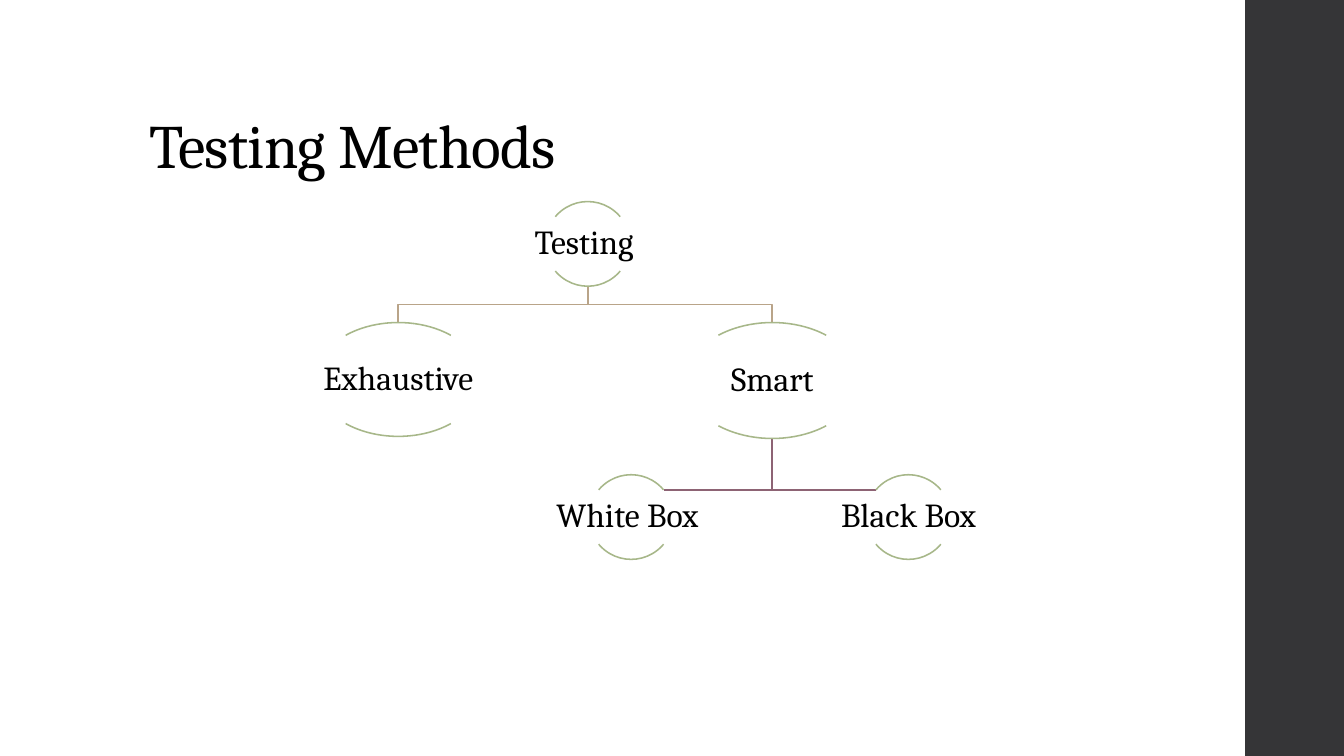
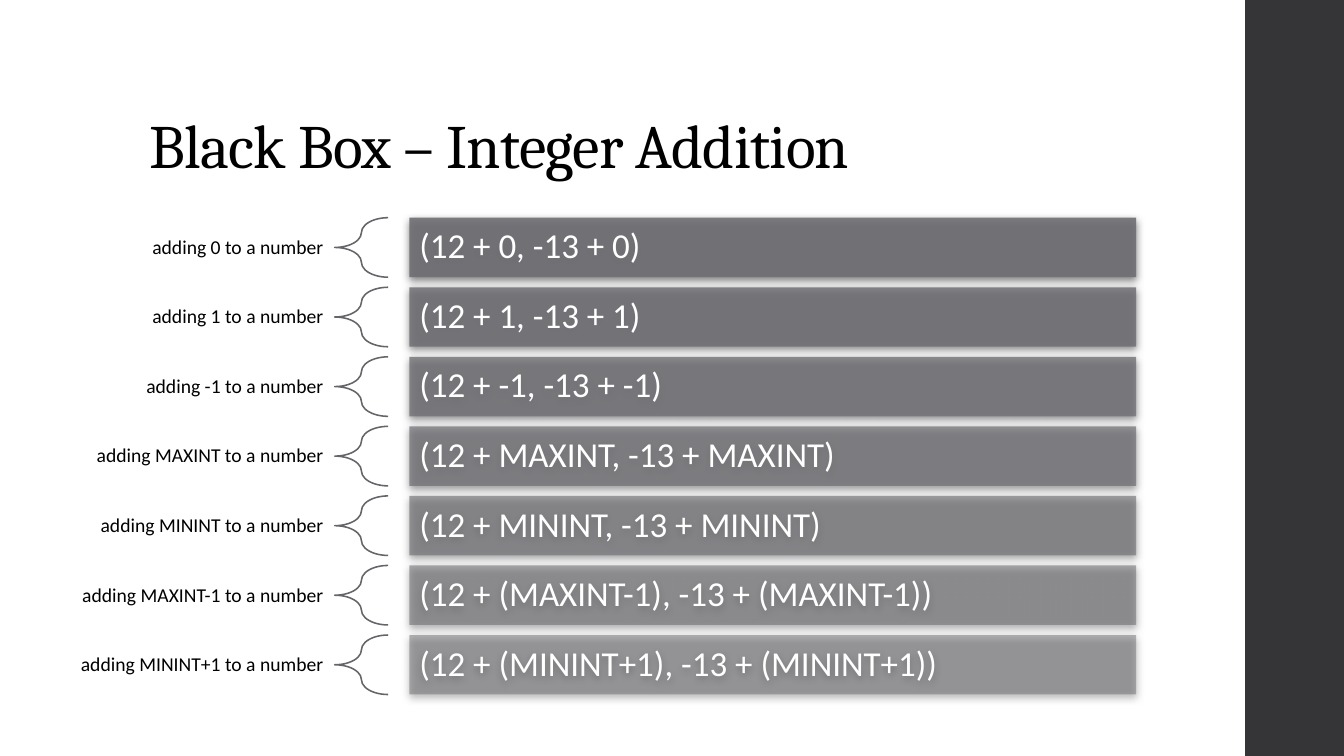
from math import cos, radians, sin

from lxml import etree
from pptx import Presentation
from pptx.dml.color import RGBColor
from pptx.enum.shapes import MSO_SHAPE as SHAPE
from pptx.enum.text import MSO_ANCHOR as ANCHOR, PP_ALIGN as ALIGN
from pptx.oxml.ns import qn
from pptx.util import Inches, Pt

W, H = 13.33, 7.5
BAND_X = 12.35
LINE_PT = 1.1
SERIF, SANS = "Cambria", "Calibri"
BLACK, WHITE, BAND = "000000", "FFFFFF", "353537"
ARC, BRANCH, TWIG = "A7B789", "B9A489", "8D6374"
BRACE, BAR = "656569", "6F6F74"

# Content: name -> (text, centre x, top, arc width, arc height)
TREE_TITLE = "Testing Methods"
NODES = {
    "root": ("Testing ", 5.83, 2.0, 0.84, 0.84),
    "exhaustive": ("Exhaustive", 3.95, 3.2, 1.65, 1.13),
    "smart": ("Smart", 7.66, 3.2, 1.71, 1.15),
    "black": ("Black Box", 9.01, 4.71, 0.84, 0.84),
    "white": ("White Box ", 6.26, 4.71, 0.84, 0.84),
}
BRANCHES = [("root", "exhaustive"), ("root", "smart")]
TWIGS = [("smart", "white"), ("smart", "black")]

CASES_TITLE = "Black Box – Integer Addition"
CASES = [
    ("adding 0 to a number", "(12 + 0, -13 + 0)"),
    ("adding 1 to a number", "(12 + 1, -13 + 1)"),
    ("adding -1 to a number", "(12 + -1, -13 + -1)"),
    ("adding MAXINT to a number", "(12 + MAXINT, -13 + MAXINT)"),
    ("adding MININT to a number", "(12 + MININT, -13 + MININT)"),
    ("adding MAXINT-1 to a number", "(12 + (MAXINT-1), -13 + (MAXINT-1))"),
    ("adding MININT+1 to a number", "(12 + (MININT+1), -13 + (MININT+1))"),
]
ROW_TOP, ROW_H, PITCH = 2.16, 0.59, 0.69
ALPHA_FIRST, ALPHA_LAST = 90, 50


# Shared helpers
def rgb(hex_color):
    return RGBColor.from_string(hex_color)


def box(x, y, w, h):
    return [Inches(v) for v in (x, y, w, h)]


def style(sp, fill=None, line=None):
    sp.shadow.inherit = False
    if fill:
        sp.fill.solid()
        sp.fill.fore_color.rgb = rgb(fill)
    else:
        sp.fill.background()
    if line:
        sp.line.color.rgb = rgb(line)
        sp.line.width = Pt(LINE_PT)
    else:
        sp.line.fill.background()
    return sp


def add_shape(s, kind, at, adj=(), fill=None, line=None):
    sp = s.shapes.add_shape(kind, *box(*at))
    for i, value in enumerate(adj):
        sp.adjustments[i] = value
    return style(sp, fill, line)


def set_text(sp, text, size, font, color=BLACK, align=ALIGN.LEFT,
             anchor=ANCHOR.MIDDLE, inset=(0.1, 0.05)):
    tf = sp.text_frame
    tf.text = text
    tf.word_wrap = True
    tf.vertical_anchor = anchor
    tf.margin_left = tf.margin_right = Inches(inset[0])
    tf.margin_top = tf.margin_bottom = Inches(inset[1])
    p = tf.paragraphs[0]
    p.alignment = align
    p.line_spacing = 0.9
    p.font.size, p.font.name = Pt(size), font
    p.font.color.rgb = rgb(color)
    return p


def add_slide(prs, title):
    s = prs.slides.add_slide(prs.slide_layouts[5])
    add_shape(s, SHAPE.RECTANGLE, (BAND_X, 0, W - BAND_X, H), fill=BAND)
    sp = s.shapes.title
    sp.left, sp.top, sp.width, sp.height = box(1.38, 0.4, 10.6, 1.45)
    p = set_text(sp, title, 44, SERIF, anchor=ANCHOR.BOTTOM)
    p.runs[0].font._element.set("spc", "-50")
    return s


# Tree of methods
def add_path(s, points, color):
    start, *rest = [(Inches(x), Inches(y)) for x, y in points]
    path = s.shapes.build_freeform(*start)
    path.add_line_segments(rest, close=False)
    style(path.convert_to_shape(), line=color)


def add_branch(s, parent, child):
    _, px, py, _, ph = NODES[parent]
    _, cx, cy, _, _ = NODES[child]
    bottom = py + ph
    middle = (bottom + cy) / 2
    add_path(s, [(px, bottom), (px, middle), (cx, middle), (cx, cy)], BRANCH)


def add_twig(s, parent, child):
    """Run from the parent's foot to the near end of the child's upper arc."""
    _, px, py, _, ph = NODES[parent]
    _, cx, cy, cw, ch = NODES[child]
    side = 1 if px > cx else -1
    x = cx + side * cw / 2 * cos(radians(40))
    y = cy + ch / 2 * (1 - sin(radians(40)))
    add_path(s, [(px, py + ph), (px, y), (x, y)], TWIG)


def add_node(s, text, cx, top, w, h):
    for adj in ((132, 192), (24, 84)):
        add_shape(s, SHAPE.ARC, (cx - w / 2, top, w, h), adj, line=ARC)
    label = s.shapes.add_textbox(*box(cx - w, top + 0.18 * h, 2 * w, 0.64 * h))
    set_text(label, text, 24, SERIF, align=ALIGN.CENTER, inset=(0.02, 0.02))


def tree_slide(prs):
    s = add_slide(prs, TREE_TITLE)
    for pair in TWIGS:
        add_twig(s, *pair)
    for pair in BRANCHES:
        add_branch(s, *pair)
    for node in NODES.values():
        add_node(s, *node)


# Rows of test cases
def fade_with_shadow(sp, alpha):
    """Make the fill translucent and cast a soft shadow downwards."""
    props = sp._element.spPr
    color = props.find(qn("a:solidFill"))[0]
    etree.SubElement(color, qn("a:alpha"), val=str(round(alpha * 1000)))
    shadow = etree.SubElement(
        props.find(qn("a:effectLst")), qn("a:outerShdw"), blurRad=str(Pt(6)),
        dist=str(Pt(2)), dir="5400000", rotWithShape="0")
    black = etree.SubElement(shadow, qn("a:srgbClr"), val=BLACK)
    etree.SubElement(black, qn("a:alpha"), val="55000")


def cases_slide(prs):
    s = add_slide(prs, CASES_TITLE)
    step = (ALPHA_LAST - ALPHA_FIRST) / (len(CASES) - 1)
    for i, (rule, example) in enumerate(CASES):
        y = ROW_TOP + i * PITCH
        label = s.shapes.add_textbox(*box(0.67, y + 0.03, 2.65, 0.54))
        set_text(label, rule, 14, SANS, align=ALIGN.RIGHT, inset=(0.11, 0.04))
        add_shape(s, SHAPE.LEFT_BRACE, (3.32, y, 0.53, ROW_H), (0.35, 0.5),
                  line=BRACE)
        bar = add_shape(s, SHAPE.RECTANGLE, (4.06, y, 7.21, ROW_H), fill=BAR)
        fade_with_shadow(bar, ALPHA_FIRST + i * step)
        set_text(bar, example, 25, SANS, WHITE, inset=(0.1, 0.1))


def main():
    prs = Presentation()
    prs.slide_width, prs.slide_height = Inches(W), Inches(H)
    tree_slide(prs)
    cases_slide(prs)
    prs.save("out.pptx")


if __name__ == "__main__":
    main()
